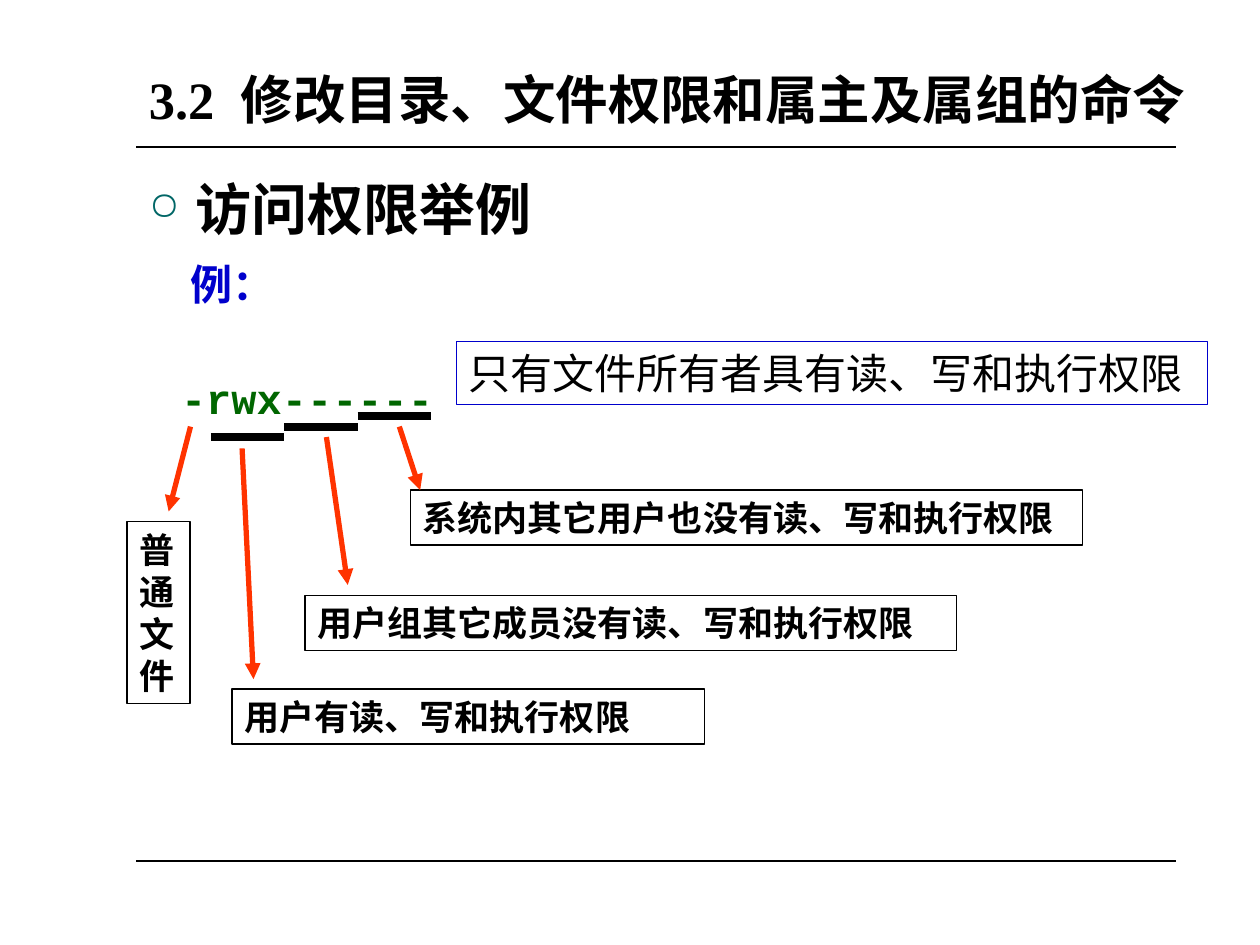
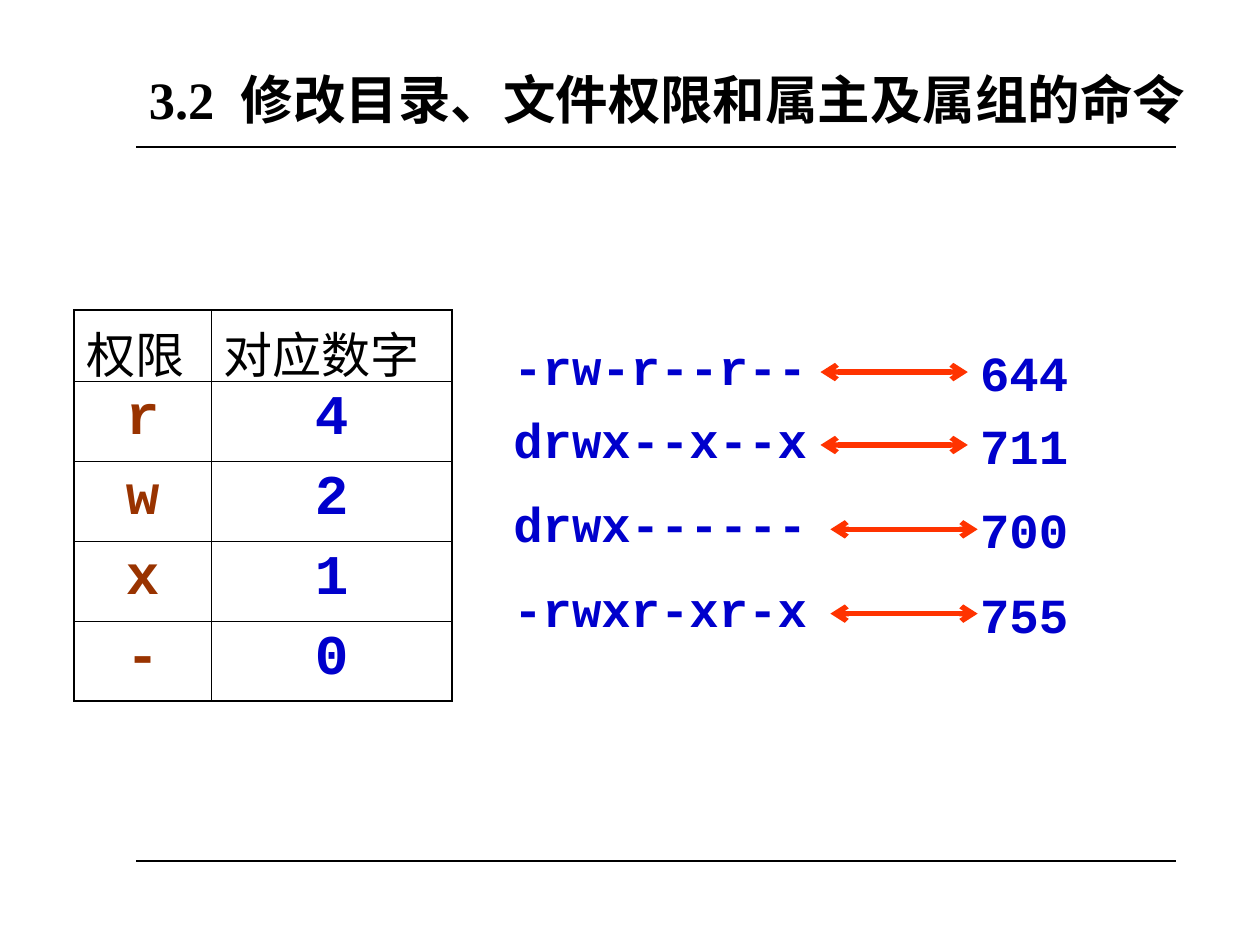
from lxml.etree import SubElement
from pptx import Presentation
from pptx.dml.color import RGBColor
from pptx.enum.shapes import MSO_CONNECTOR as Connector, MSO_SHAPE as Shape
from pptx.enum.text import MSO_ANCHOR as Anchor, PP_ALIGN as Align
from pptx.oxml.ns import qn
from pptx.util import Cm, Pt

BLACK, BLUE, GREEN, BROWN, RED, TEAL = (
    "000000", "0000CC", "006600", "993300", "FF3300", "006666")
SERIF, MONO, SANS = "Times New Roman", "Courier New", "Noto Sans CJK SC"


def rgb(value):
    return RGBColor.from_string(value)


def write(frame, text, size=20, font=SANS, color=BLACK, bold=True, wrap=True,
          align=Align.LEFT, anchor=Anchor.TOP, before=0, spacing=None):
    frame.word_wrap = wrap
    frame.vertical_anchor = anchor
    paragraph = frame.paragraphs[0]
    paragraph.alignment = align
    paragraph.space_before = Pt(before)
    paragraph.line_spacing = spacing
    run = paragraph.add_run()
    run.text = text
    run.font.size = Pt(size)
    run.font.bold = bold
    run.font.name = font
    run.font.color.rgb = rgb(color)
    if font == SANS:
        SubElement(run.font._element, qn("a:ea"), typeface=font)
    return paragraph


deck = Presentation()
deck.slide_width, deck.slide_height = Cm(25.4), Cm(19.05)
example, numbers = [deck.slides.add_slide(deck.slide_layouts[6]) for _ in range(2)]
lines = []

for slide in (example, numbers):
    title = slide.shapes.add_textbox(Cm(2.75), Cm(0.85), Cm(21.8), Cm(1.9))
    write(title.text_frame, "3.2  修改目录、文件权限和属主及属组的命令",
          size=30, font=SERIF, anchor=Anchor.BOTTOM)
    for y in (2.96, 17.35):
        lines.append((slide, (2.75, y, 23.7, y), BLACK, 1, {}, None))

topic = example.shapes.add_textbox(Cm(2.75), Cm(3.39), Cm(20.95), Cm(13.76))
heading = write(topic.text_frame, "访问权限举例", size=32, font=SERIF, before=8)
bullet = heading._p.get_or_add_pPr()
bullet.set("marL", str(Cm(0.95)))
bullet.set("indent", str(Cm(-0.95)))
SubElement(SubElement(bullet, qn("a:buClr")), qn("a:srgbClr"), val=TEAL)
SubElement(bullet, qn("a:buSzPct"), val="70000")
SubElement(bullet, qn("a:buChar"), char="○")

label = example.shapes.add_textbox(Cm(3.6), Cm(5.08), Cm(4), Cm(1.27))
write(label.text_frame, "例：", size=24, color=BLUE)
mode = example.shapes.add_textbox(Cm(3.4), Cm(7.38), Cm(5.6), Cm(1.27))
write(mode.text_frame, "-rwx------", size=24, font=MONO, color=GREEN, wrap=False)

explanations = [
    ("只有文件所有者具有读、写和执行权限", (9.2, 6.88, 15.14, 1.27), BLUE,
     {"size": 24, "bold": False}),
    ("普通文件", (2.56, 10.52, 1.27, 3.66), BLACK, {"spacing": Pt(24)}),
    ("用户有读、写和执行权限", (4.68, 13.89, 9.52, 1.11), BLACK, {}),
    ("用户组其它成员没有读、写和执行权限", (6.15, 12, 13.13, 1.11), BLACK, {}),
    ("系统内其它用户也没有读、写和执行权限", (8.27, 9.88, 13.55, 1.11), BLACK, {}),
]
for text, place, border, style in explanations:
    note = example.shapes.add_shape(Shape.RECTANGLE, *map(Cm, place))
    note.shadow.inherit = False
    note.fill.background()
    note.line.color.rgb = rgb(border)
    note.line.width = Pt(0.75)
    write(note.text_frame, text, **style)

for group in range(3):
    x, y = 4.25 + 1.48 * group, 8.81 - 0.21 * group
    lines.append((example, (x, y, x + 1.48, y), BLACK, 4.5, {}, None))

for course in ((3.84, 8.6, 3.4, 10.31), (4.88, 9.04, 5.11, 13.69),
               (6.58, 8.81, 7.01, 11.79), (8.05, 8.6, 8.47, 9.88)):
    lines.append((example, course, RED, 3, {"tailEnd": "triangle"}, None))

values = [("权限", "对应数字"), ("r", "4"), ("w", "2"), ("x", "1"), ("-", "0")]
table = numbers.shapes.add_table(5, 2, Cm(1.49), Cm(6.25), Cm(7.62), Cm(7.88)).table
table.first_row = table.horz_banding = False
for column, width in zip(table.columns, (2.77, 4.85)):
    column.width = Cm(width)
for row_index, row in enumerate(values):
    table.rows[row_index].height = Cm(1.61 if row_index else 1.44)
    for column_index, text in enumerate(row):
        cell = table.cell(row_index, column_index)
        if row_index:
            write(cell.text_frame, text, size=32, font=MONO, before=8,
                  color=(BROWN, BLUE)[column_index], align=Align.CENTER)
        else:
            write(cell.text_frame, text, size=28, font=SERIF, bold=False, before=7)
        outer = {"lnL": column_index == 0, "lnR": column_index == 1,
                 "lnT": row_index == 0, "lnB": row_index == 4}
        properties = cell._tc.get_or_add_tcPr()
        for side, is_outer in outer.items():
            border = SubElement(properties, qn("a:" + side),
                                w=str(Pt(1.08 if is_outer else 0.45)))
            SubElement(SubElement(border, qn("a:solidFill")), qn("a:srgbClr"), val=BLACK)
        cell.fill.background()

modes = [("-rw-r--r--", "644", 7.5, 16.54), ("drwx--x--x", "711", 8.97, 16.54),
         ("drwx------", "700", 10.67, 16.74), ("-rwxr-xr-x", "755", 12.37, 16.74)]
for symbols, digits, y, start in modes:
    symbolic = numbers.shapes.add_textbox(Cm(10.1), Cm(y - 0.84), Cm(6.43), Cm(1.44))
    octal = numbers.shapes.add_textbox(Cm(19.51), Cm(y - 0.72), Cm(2.29), Cm(1.44))
    for box, text in ((symbolic, symbols), (octal, digits)):
        write(box.text_frame, text, size=28, font=MONO, color=BLUE, wrap=False)
    lines.append((numbers, (start, y, start + 2.97, y), RED, 3,
                  {"headEnd": "arrow", "tailEnd": "arrow"},
                  octal if start == 16.54 else None))

for slide, course, color, width, ends, target in lines:
    line = slide.shapes.add_connector(Connector.STRAIGHT, *map(Cm, course))
    line.line.color.rgb = rgb(color)
    line.line.width = Pt(width)
    for end, kind in ends.items():
        SubElement(line.line._get_or_add_ln(), qn("a:" + end), type=kind)
    SubElement(line._element.spPr, qn("a:effectLst"))
    if target:
        line.end_connect(target, 1)

deck.save("out.pptx")
